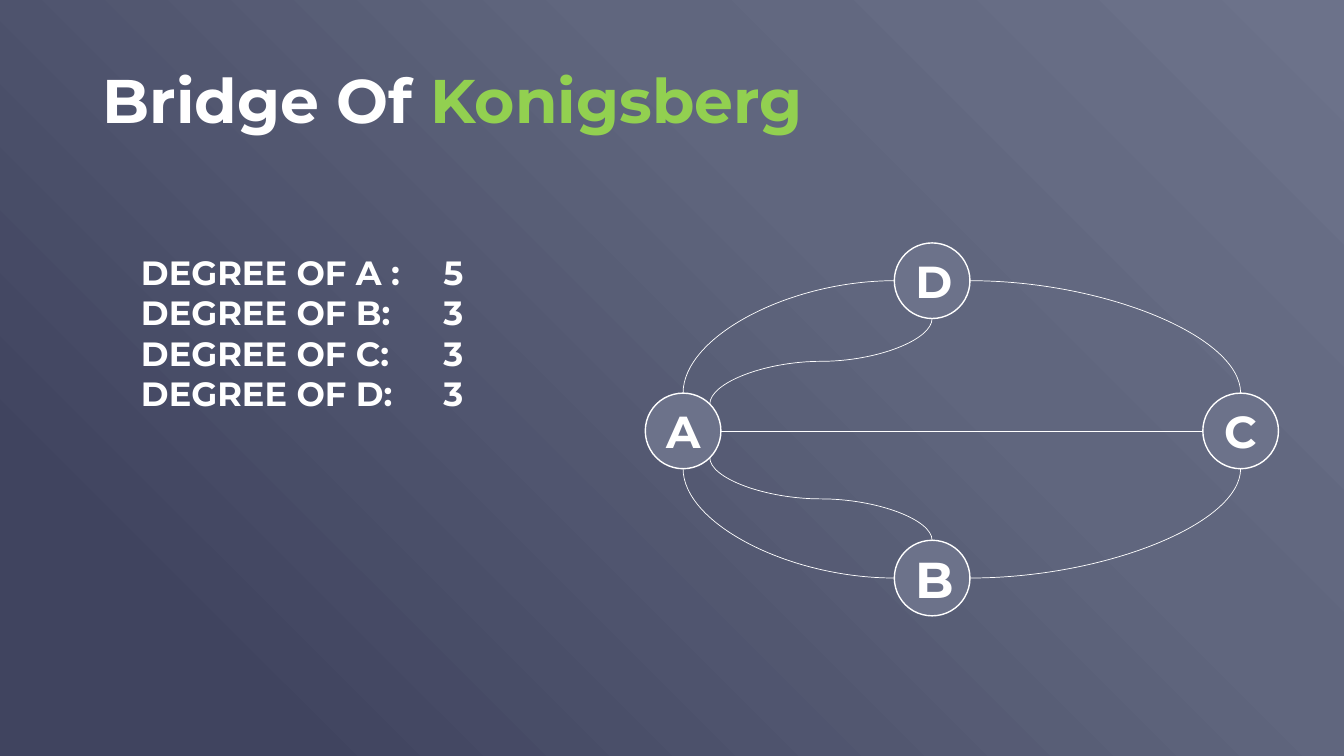
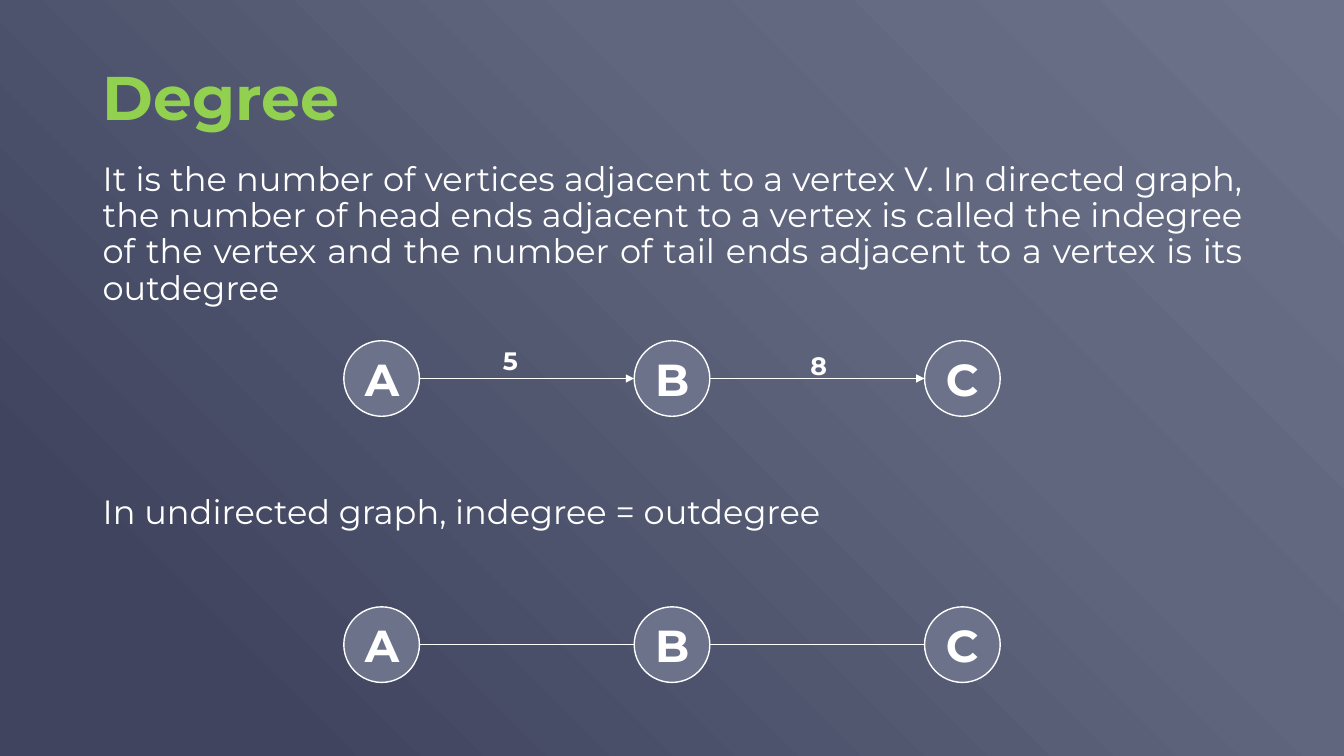
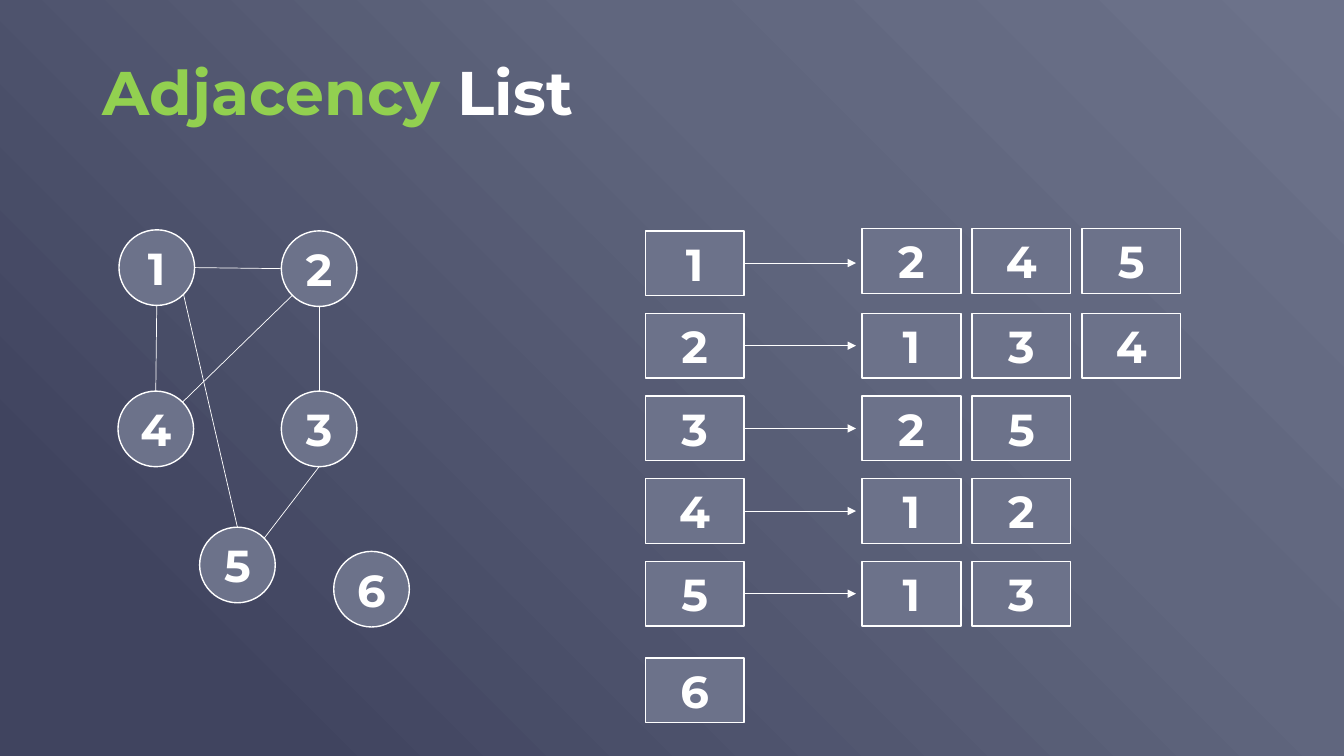
import math
import pptx
import pptx.util
import pptx.dml.color
import pptx.enum.shapes
import pptx.enum.text
import pptx.oxml
import pptx.oxml.ns
from lxml import etree

Inches = pptx.util.Inches
Pt = pptx.util.Pt
qn = pptx.oxml.ns.qn
KIND = pptx.enum.shapes.MSO_SHAPE
LINK = pptx.enum.shapes.MSO_CONNECTOR
ALIGN = pptx.enum.text.PP_ALIGN
ANCHOR = pptx.enum.text.MSO_ANCHOR

FONT = "Montserrat"
HEX = {"white": "FFFFFF", "green": "92D050", "node": "6C728A"}
STOPS = [(0, "6C728A"), (35, "60667E"), (86, "40445F")]
SIZE = 0.75
CELL = (0.98, 0.64)
STEP = 1.09

BRIDGE = {
    "title": (0.3, [("Bridge Of ", "white"), ("Konigsberg", "green")]),
    "nodes": [("A", 6.4, 3.9, 32), ("C", 11.93, 3.9, 32),
              ("B", 8.87, 5.36, 36), ("D", 8.87, 2.41, 32)],
    "arcs": [("D", 2, "A", 0), ("B", 2, "A", 4),
             ("D", 6, "C", 0), ("B", 6, "C", 4)],
    "waves": [("A", 7, "D", 4, 90, ("flipH", "flipV")),
              ("A", 5, "B", 0, 270, ("flipH",))],
    "list": ["DEGREE OF A :\t5", "DEGREE OF B:\t3",
             "DEGREE OF C:\t3", "DEGREE OF D:\t3"],
}
DEGREE = {
    "title": (0.27, [("Degree", "green")]),
    "texts": [
        (1.56, 1.65, "It is the number of vertices adjacent to a vertex V. "
         "In directed graph, the number of head ends adjacent to a vertex is "
         "called the indegree of the vertex and the number of tail ends "
         "adjacent to a vertex is its outdegree"),
        (4.87, 1.8, "In undirected graph, indegree = outdegree"),
    ],
    "chains": [(3.38, True), (6.02, False)],
    "labels": [("5", 4.89, 3.38), ("8", 7.94, 3.43)],
}
ADJACENT = {
    "title": (0.22, [("Adjacency ", "green"), ("List", "white")]),
    "nodes": [("1", 1.18, 2.28, 32), ("2", 2.79, 2.29, 32),
              ("3", 2.79, 3.88, 32), ("4", 1.17, 3.88, 32),
              ("5", 1.98, 5.23, 32), ("6", 3.31, 5.47, 32)],
    "edges": [("1", 6, "2", 2), ("2", 4, "3", 0), ("1", 4, "4", 0),
              ("3", 4, "5", 7), ("1", 5, "5", 0), ("2", 3, "4", 7)],
    "rows": [("1", 2.29, 2.27, "245"), ("2", 3.11, 3.11, "134"),
             ("3", 3.93, 3.93, "25"), ("4", 4.75, 4.75, "12"),
             ("5", 5.57, 5.57, "13"), ("6", 6.53, 6.53, "")],
}


def rgb(name):
    return pptx.dml.color.RGBColor.from_string(HEX[name])


def style(run, size, color="white", bold=True):
    font = run.font
    font.name, font.size, font.bold = FONT, Pt(size), bold
    font.color.rgb = rgb(color)


def paint(master):
    master.background.fill.gradient()
    old = master.element.find(".//" + qn("a:gradFill"))
    stops = "".join(
        f'<a:gs pos="{at * 1000}"><a:srgbClr val="{color}"/></a:gs>'
        for at, color in STOPS)
    new = pptx.oxml.parse_xml(
        f'<a:gradFill {pptx.oxml.ns.nsdecls("a")} rotWithShape="1">'
        f'<a:gsLst>{stops}</a:gsLst><a:path path="circle">'
        '<a:fillToRect l="100000" b="100000"/></a:path></a:gradFill>')
    old.getparent().replace(old, new)


def start(deck, title):
    top, parts = title
    slide = deck.slides.add_slide(deck.slide_layouts[5])
    box = slide.shapes.title
    box.left, box.top = Inches(0.92), Inches(top)
    box.width, box.height = Inches(11.5), Inches(1.45)
    box.text_frame.vertical_anchor = ANCHOR.MIDDLE
    para = box.text_frame.paragraphs[0]
    para.alignment, para.line_spacing = ALIGN.LEFT, 0.9
    for text, color in parts:
        run = para.add_run()
        run.text = text
        style(run, 44, color)
    return slide


def write(slide, spot, lines, size, bold=True):
    box = slide.shapes.add_textbox(*map(Inches, spot))
    frame = box.text_frame
    frame.word_wrap = True
    frame.text = "\n".join(lines)
    for para in frame.paragraphs:
        for run in para.runs:
            style(run, size, bold=bold)
    return frame.paragraphs


def block(slide, kind, text, spot, size=32):
    shape = slide.shapes.add_shape(kind, *map(Inches, spot))
    shape.shadow.inherit = False
    shape.fill.solid()
    shape.fill.fore_color.rgb = rgb("node")
    shape.line.color.rgb = rgb("white")
    shape.line.width = Pt(1)
    frame = shape.text_frame
    frame.vertical_anchor = ANCHOR.MIDDLE
    frame.text = text
    para = frame.paragraphs[0]
    para.alignment = ALIGN.CENTER
    style(para.runs[0], size)
    return shape


def graph(slide, nodes):
    return {name: block(slide, KIND.FLOWCHART_CONNECTOR, name,
                        (left, top, SIZE, SIZE), size)
            for name, left, top, size in nodes}


def draw(slide, start, end, kind=LINK.STRAIGHT, arrow=False):
    line = slide.shapes.add_connector(kind, *start, *end)
    line.line.color.rgb = rgb("white")
    line.line.width = Pt(0.5)
    props = line.element.spPr
    if arrow:
        etree.SubElement(props.find(qn("a:ln")), qn("a:tailEnd"),
                         type="triangle")
    etree.SubElement(props, qn("a:effectLst"))
    return line


def site(shape, index):
    angle = math.radians(45 * index)
    half = shape.width / 2
    return (round(shape.left + half * (1 - math.sin(angle))),
            round(shape.top + half * (1 - math.cos(angle))))


def join(slide, nodes, edge, kind=LINK.STRAIGHT, arrow=False):
    first, out, last, into = edge
    ends = [("a:stCxn", nodes[first], out), ("a:endCxn", nodes[last], into)]
    points = [site(shape, index) for tag, shape, index in ends]
    line = draw(slide, *points, kind, arrow)
    glue = line.element.find(".//" + qn("p:cNvCxnSpPr"))
    for tag, shape, index in ends:
        etree.SubElement(glue, qn(tag), id=str(shape.shape_id),
                         idx=str(index))
    return line


def turn(line, angle, flips):
    wide, high = line.width, line.height
    line.left += (wide - high) // 2
    line.top += (high - wide) // 2
    line.width, line.height = high, wide
    frame = line.element.spPr.find(qn("a:xfrm"))
    for key in ("flipH", "flipV"):
        frame.set(key, "1" if key in flips else "0")
    frame.set("rot", str(angle * 60000))


def bridge(deck):
    slide = start(deck, BRIDGE["title"])
    nodes = graph(slide, BRIDGE["nodes"])
    for edge in BRIDGE["arcs"]:
        line = join(slide, nodes, edge, LINK.CURVE)
        line.element.spPr.find(qn("a:prstGeom")).set(
            "prst", "curvedConnector2")
    join(slide, nodes, ("A", 6, "C", 2))
    for *edge, angle, flips in BRIDGE["waves"]:
        turn(join(slide, nodes, edge, LINK.CURVE), angle, flips)
    for para in write(slide, (1.3, 2.45, 4.35, 1.72), BRIDGE["list"], 24):
        tabs = etree.SubElement(para._p.get_or_add_pPr(), qn("a:tabLst"))
        etree.SubElement(tabs, qn("a:tab"), pos=str(Inches(3)), algn="l")


def degree(deck):
    slide = start(deck, DEGREE["title"])
    for top, high, text in DEGREE["texts"]:
        para = write(slide, (0.92, top, 11.5, high), [text], 24, False)[0]
        para.alignment, para.line_spacing = ALIGN.JUSTIFY, 0.9
    for top, arrow in DEGREE["chains"]:
        nodes = graph(slide, [(name, 3.41 + 2.88 * i, top, 32)
                              for i, name in enumerate("ABC")])
        for first, last in ("AB", "BC"):
            join(slide, nodes, (first, 6, last, 2), arrow=arrow)
    for text, left, top in DEGREE["labels"]:
        write(slide, (left, top, 0.33, 0.4), [text], 18)


def adjacent(deck):
    slide = start(deck, ADJACENT["title"])
    nodes = graph(slide, ADJACENT["nodes"])
    for edge in ADJACENT["edges"]:
        join(slide, nodes, edge)
    for head, top, level, items in ADJACENT["rows"]:
        block(slide, KIND.RECTANGLE, head, (6.4, top, *CELL))
        if items:
            mid = Inches(top + CELL[1] / 2)
            draw(slide, (Inches(7.38), mid), (Inches(8.49), mid), arrow=True)
        for i, item in enumerate(items):
            block(slide, KIND.RECTANGLE, item,
                  (8.55 + STEP * i, level, *CELL))


def main():
    deck = pptx.Presentation()
    deck.slide_width, deck.slide_height = Inches(13.33), Inches(7.5)
    paint(deck.slide_master)
    bridge(deck)
    degree(deck)
    adjacent(deck)
    deck.save("out.pptx")


if __name__ == "__main__":
    main()
